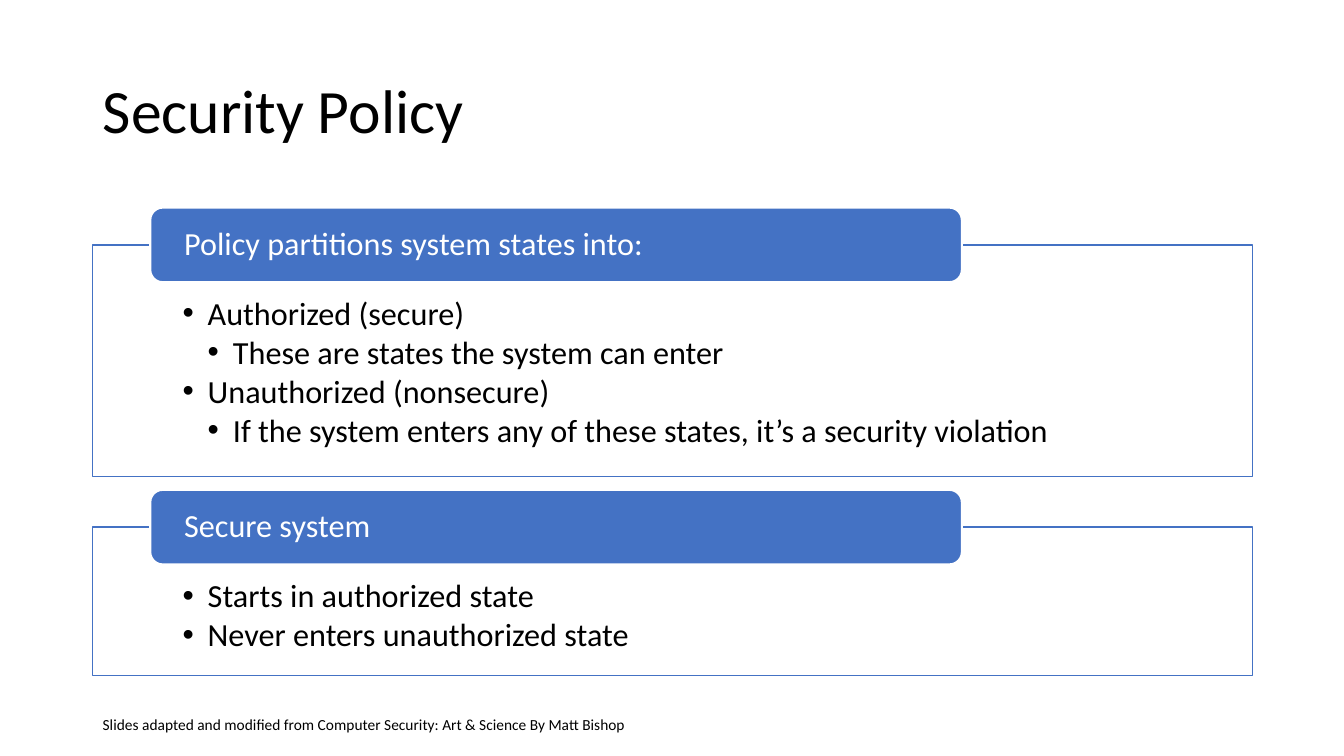
from dataclasses import dataclass

from lxml.etree import SubElement
from pptx import Presentation
from pptx.dml.color import RGBColor as Rgb
from pptx.enum.shapes import MSO_SHAPE as Shape
from pptx.enum.text import MSO_ANCHOR as Anchor, MSO_AUTO_SIZE as Fit, PP_ALIGN as Align
from pptx.oxml.ns import qn
from pptx.util import Inches, Pt


@dataclass(frozen=True)
class Theme:
    font: str = "Calibri"
    blue: Rgb = Rgb(0x44, 0x72, 0xC4)
    white: Rgb = Rgb(255, 255, 255)
    black: Rgb = Rgb(0, 0, 0)
    title: int = 44
    body: int = 23
    note: int = 11


@dataclass(frozen=True)
class Item:
    text: str
    level: int = 0


@dataclass(frozen=True)
class Panel:
    head: str
    top: float
    height: float
    items: tuple[Item, ...]


THEME = Theme()
LEFT, WIDTH = 0.92, 11.5
RISE = 0.37  # how far a heading sits above its frame
PANELS = (
    Panel("Policy partitions system states into:", 2.43, 2.3, (
        Item("Authorized (secure)"),
        Item("These are states the system can enter", 1),
        Item("Unauthorized (nonsecure)"),
        Item("If the system enters any of these states, it’s a security violation", 1),
    )),
    Panel("Secure system", 5.23, 1.47, (
        Item("Starts in authorized state"),
        Item("Never enters unauthorized state"),
    )),
)


def place(shape, left: float, top: float, width: float, height: float) -> None:
    shape.left, shape.top = Inches(left), Inches(top)
    shape.width, shape.height = Inches(width), Inches(height)


def setup(frame, anchor: Anchor, side: float = 0.1, top: float = 0.05,
          base: float = 0.05) -> None:
    frame.word_wrap = True
    frame.auto_size = Fit.NONE
    frame.vertical_anchor = anchor
    frame.margin_left = frame.margin_right = Inches(side)
    frame.margin_top, frame.margin_bottom = Inches(top), Inches(base)


def write(para, text: str, size: int, color: Rgb, line: float = 0.9) -> None:
    para.alignment = Align.LEFT
    para.line_spacing = line
    para.space_before = Pt(0)
    run = para.add_run()
    run.text = text
    run.font.name = THEME.font
    run.font.size = Pt(size)
    run.font.color.rgb = color


def bullet(para, level: int) -> None:
    para.level = level
    props = para._p.get_or_add_pPr()
    props.set("marL", str(Inches(0.25 * (level + 1))))
    props.set("indent", str(Inches(-0.25)))
    SubElement(props, qn("a:buFont")).set("typeface", "Arial")
    SubElement(props, qn("a:buChar")).set("char", "•")


def paint(shape, fill: Rgb, line: Rgb, width: float) -> None:
    shape.fill.solid()
    shape.fill.fore_color.rgb = fill
    shape.line.color.rgb = line
    shape.line.width = Pt(width)


def draw(slide, body, panel: Panel) -> None:
    # Framed list
    place(body, LEFT, panel.top, WIDTH, panel.height)
    paint(body, THEME.white, THEME.blue, 1)
    tint = body._element.spPr.find(qn("a:solidFill"))[0]
    SubElement(tint, qn("a:alpha")).set("val", "90000")
    frame = body.text_frame
    setup(frame, Anchor.TOP, 0.89, 0.52, 0.18)
    for i, item in enumerate(panel.items):
        para = frame.add_paragraph() if i else frame.paragraphs[0]
        bullet(para, item.level)
        para.space_after = Pt(3)
        write(para, item.text, THEME.body, THEME.black)

    # Heading on the frame's top edge
    head = slide.shapes.add_shape(
        Shape.ROUNDED_RECTANGLE, Inches(LEFT + 0.57), Inches(panel.top - RISE),
        Inches(0.7 * WIDTH), Inches(2 * RISE))
    head.shadow.inherit = False
    paint(head, THEME.blue, THEME.white, 1.5)
    setup(head.text_frame, Anchor.MIDDLE, 0.3, 0, 0)
    write(head.text_frame.paragraphs[0], panel.head, THEME.body, THEME.white)


def main() -> None:
    deck = Presentation()
    deck.slide_width, deck.slide_height = Inches(13.33), Inches(7.5)
    slide = deck.slides.add_slide(deck.slide_layouts[3])
    title, *bodies = slide.placeholders

    # Title
    place(title, LEFT, 0.4, WIDTH, 1.45)
    setup(title.text_frame, Anchor.MIDDLE)
    write(title.text_frame.paragraphs[0], "Security Policy", THEME.title, THEME.black)

    # Panels
    for body, panel in zip(bodies, PANELS):
        draw(slide, body, panel)

    # Source note
    note = slide.shapes.add_textbox(Inches(LEFT), Inches(7.05), Inches(10.9), Inches(0.29))
    setup(note.text_frame, Anchor.TOP)
    write(note.text_frame.paragraphs[0],
          "Slides adapted and modified from Computer Security: Art & Science By Matt Bishop",
          THEME.note, THEME.black, 1.0)

    deck.save("out.pptx")


if __name__ == "__main__":
    main()
